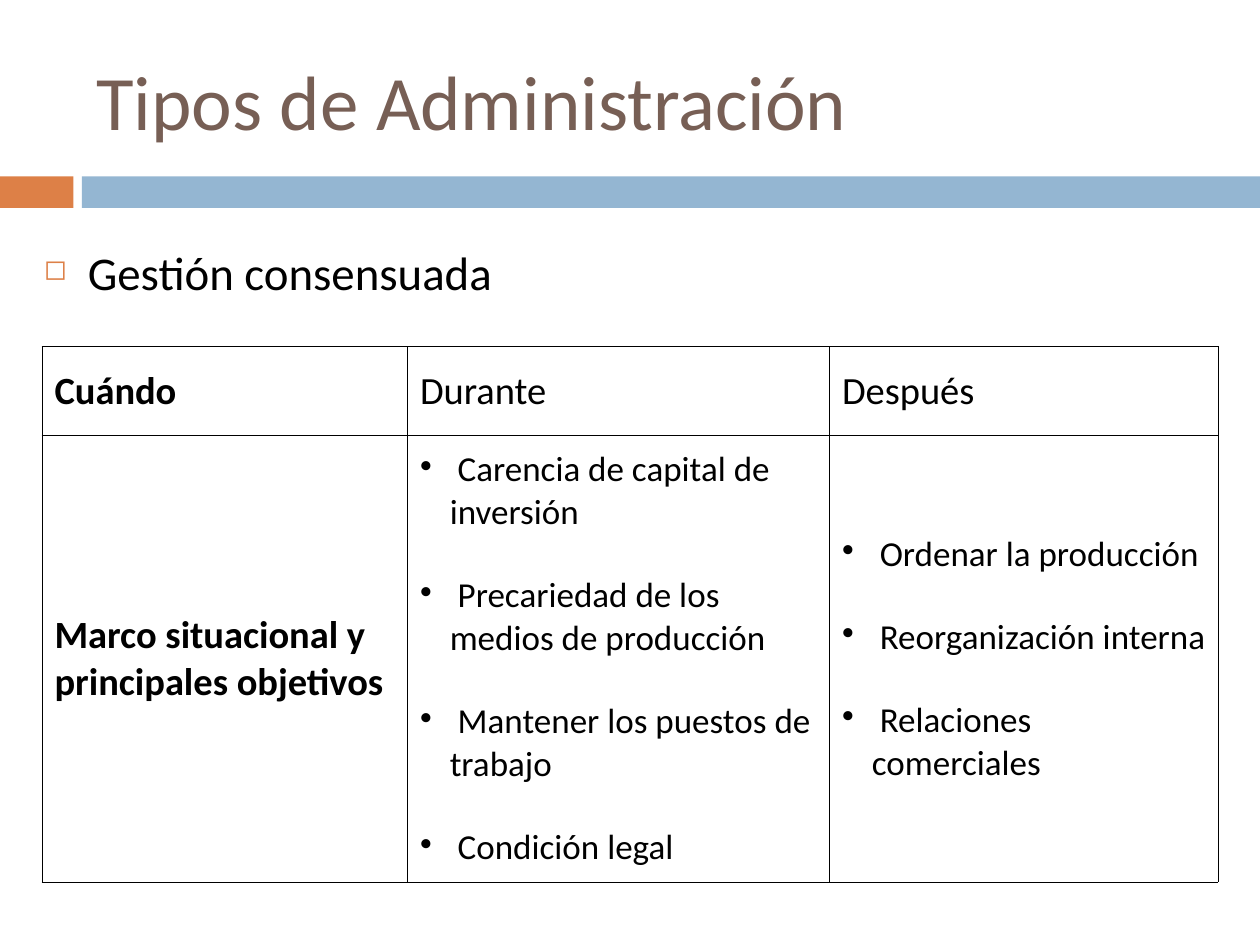
from dataclasses import dataclass

from lxml import etree
from pptx import Presentation
from pptx.dml.color import RGBColor
from pptx.enum.shapes import MSO_SHAPE
from pptx.enum.text import MSO_ANCHOR
from pptx.oxml.ns import qn
from pptx.util import Pt

RECT = MSO_SHAPE.RECTANGLE
TOP, MIDDLE = MSO_ANCHOR.TOP, MSO_ANCHOR.MIDDLE


@dataclass(frozen=True)
class Theme:
    font: str = "Calibri"
    ink: str = "000000"
    title: str = "775F55"
    accent: str = "DD8047"
    band: str = "94B6D2"
    title_size: float = 44
    body_size: float = 26.8
    head_size: float = 22
    item_size: float = 20
    border: float = 0.45


@dataclass(frozen=True)
class Box:
    x: float
    y: float
    w: float
    h: float

    def emu(self) -> tuple:
        return Pt(self.x), Pt(self.y), Pt(self.w), Pt(self.h)


@dataclass(frozen=True)
class Bullet:
    char: str
    color: str
    hang: float
    percent: int = 100


@dataclass(frozen=True)
class Cell:
    lines: tuple
    bold: bool = False
    bulleted: bool = False


THEME = Theme()
SLIDE_W, SLIDE_H = 720, 540
BAR_Y, BAR_H = 100.8, 18
BAR_SPLIT = 46.8
BARS = (
    (Box(0, BAR_Y, 42, BAR_H), THEME.accent),
    (Box(BAR_SPLIT, BAR_Y, SLIDE_W - BAR_SPLIT, BAR_H), THEME.band),
)
TITLE_BOX = Box(48, 18, 642, 78)
TOPIC_BOX = Box(18, 126, 642, 48)
TABLE_X, TABLE_Y = 24, 198
COLS = (208.8, 241.2, 222)
ROWS = (51, 255)
TOPIC_BULLET = Bullet("◻", THEME.accent, 25.2, 60)
ITEM_BULLET = Bullet("•", THEME.ink, 17)
ITEM_GAP = 23
CELLS = (
    (Cell(("Cuándo",), bold=True), Cell(("Durante",)), Cell(("Después",))),
    (
        Cell(("Marco situacional y principales objetivos",), bold=True),
        Cell((
            " Carencia de capital de inversión",
            " Precariedad de los medios de producción",
            " Mantener los puestos de trabajo",
            " Condición legal",
        ), bulleted=True),
        Cell((
            " Ordenar la producción",
            " Reorganización interna",
            " Relaciones comerciales",
        ), bulleted=True),
    ),
)


def add_bullet(p, bullet: Bullet) -> None:
    pPr = p._p.get_or_add_pPr()
    pPr.set("marL", str(Pt(bullet.hang)))
    pPr.set("indent", str(-Pt(bullet.hang)))
    color = etree.SubElement(pPr, qn("a:buClr"))
    etree.SubElement(color, qn("a:srgbClr"), val=bullet.color)
    etree.SubElement(pPr, qn("a:buSzPct"), val=str(bullet.percent * 1000))
    etree.SubElement(pPr, qn("a:buChar"), char=bullet.char)


def write(tf, lines: tuple, *, size: float, color: str = THEME.ink,
          bold: bool = False, bullet: Bullet | None = None,
          gap: float = 0, spacing: float | None = None) -> None:
    for i, text in enumerate(lines):
        p = tf.add_paragraph() if i else tf.paragraphs[0]
        if bullet:
            add_bullet(p, bullet)
        if i:
            p.space_before = Pt(gap)
        if spacing:
            p.line_spacing = spacing
        r = p.add_run()
        r.text = text
        r.font.name = THEME.font
        r.font.size = Pt(size)
        r.font.bold = bold
        r.font.color.rgb = RGBColor.from_string(color)


def add_bar(s, box: Box, color: str) -> None:
    sp = s.shapes.add_shape(RECT, *box.emu())
    sp.shadow.inherit = False
    sp.fill.solid()
    sp.fill.fore_color.rgb = RGBColor.from_string(color)
    sp.line.fill.background()


def add_text(s, box: Box, text: str, anchor: MSO_ANCHOR, **style) -> None:
    tf = s.shapes.add_textbox(*box.emu()).text_frame
    tf.word_wrap = True
    tf.vertical_anchor = anchor
    write(tf, (text,), **style)


def outline(cell) -> None:
    tcPr = cell._tc.get_or_add_tcPr()
    for side in ("a:lnL", "a:lnR", "a:lnT", "a:lnB"):
        ln = etree.SubElement(tcPr, qn(side), w=str(Pt(THEME.border)))
        fill = etree.SubElement(ln, qn("a:solidFill"))
        etree.SubElement(fill, qn("a:srgbClr"), val=THEME.ink)


def add_grid(s) -> None:
    box = Box(TABLE_X, TABLE_Y, sum(COLS), sum(ROWS))
    table = s.shapes.add_table(len(ROWS), len(COLS), *box.emu()).table
    table.first_row = table.horz_banding = False
    for column, width in zip(table.columns, COLS):
        column.width = Pt(width)
    for row, height, contents in zip(table.rows, ROWS, CELLS):
        row.height = Pt(height)
        for cell, content in zip(row.cells, contents):
            outline(cell)
            cell.fill.background()
            cell.vertical_anchor = MIDDLE
            write(cell.text_frame, content.lines, bold=content.bold,
                  size=THEME.item_size if content.bulleted else THEME.head_size,
                  bullet=ITEM_BULLET if content.bulleted else None,
                  gap=ITEM_GAP)


def main() -> None:
    prs = Presentation()
    prs.slide_width, prs.slide_height = Pt(SLIDE_W), Pt(SLIDE_H)
    s = prs.slides.add_slide(prs.slide_layouts[6])
    for box, color in BARS:
        add_bar(s, box, color)
    add_text(s, TITLE_BOX, "Tipos de Administración", MIDDLE,
             size=THEME.title_size, color=THEME.title)
    add_grid(s)
    add_text(s, TOPIC_BOX, "Gestión consensuada", TOP,
             size=THEME.body_size, bullet=TOPIC_BULLET, spacing=1.3)
    prs.save("out.pptx")


if __name__ == "__main__":
    main()
